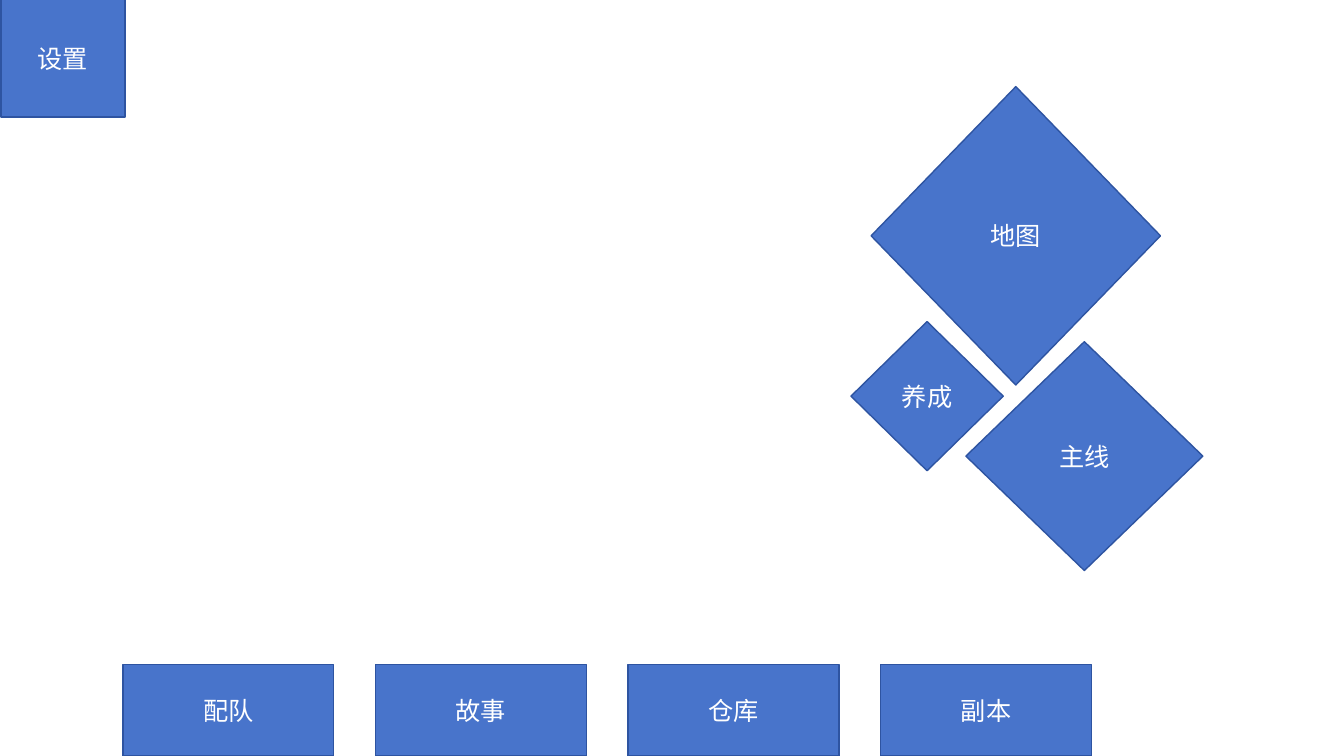
from pptx import Presentation
from pptx.dml.color import RGBColor
from pptx.enum.shapes import MSO_SHAPE as Shape
from pptx.enum.text import MSO_ANCHOR as Anchor, PP_ALIGN as Align
from pptx.util import Inches, Pt

BLUE = RGBColor(0x48, 0x74, 0xCB)
DARK_BLUE = RGBColor(0x2E, 0x54, 0xA1)
WHITE = RGBColor(0xFF, 0xFF, 0xFF)

SLIDE_WIDTH, SLIDE_HEIGHT = 13.33, 7.5
MENU_LEFT, MENU_STEP = 1.22, 2.505
MENU_WIDTH, MENU_HEIGHT = 2.09, 0.91
MENU_LABELS = ("配队", "故事", "仓库", "副本")
DIAMONDS = (
    ("主线", 9.58, 3.39, 2.35, 2.27),
    ("养成", 8.44, 3.19, 1.51, 1.48),
    ("地图", 8.64, 0.86, 2.87, 2.96),
)


def add_button(slide, outline, label, left, top, width, height):
    """Add a blue button with a centred white label; lengths in inches."""
    button = slide.shapes.add_shape(
        outline, Inches(left), Inches(top), Inches(width), Inches(height))
    button.shadow.inherit = False
    button.fill.solid()
    button.fill.fore_color.rgb = BLUE
    button.line.color.rgb = DARK_BLUE
    button.line.width = Pt(1)
    frame = button.text_frame
    frame.text = label
    frame.vertical_anchor = Anchor.MIDDLE
    caption = frame.paragraphs[0]
    caption.alignment = Align.CENTER
    font = caption.runs[0].font
    font.name = "Arial"
    font.size = Pt(18)
    font.color.rgb = WHITE


def add_menu(slide):
    """Add the evenly spaced row of buttons along the bottom edge."""
    for column, label in enumerate(MENU_LABELS):
        add_button(slide, Shape.RECTANGLE, label,
                   MENU_LEFT + column * MENU_STEP, SLIDE_HEIGHT - MENU_HEIGHT,
                   MENU_WIDTH, MENU_HEIGHT)


def main():
    """Build the game menu slide and save it."""
    deck = Presentation()
    deck.slide_width = Inches(SLIDE_WIDTH)
    deck.slide_height = Inches(SLIDE_HEIGHT)
    slide = deck.slides.add_slide(deck.slide_layouts[6])
    for label, *place in DIAMONDS:
        add_button(slide, Shape.DIAMOND, label, *place)
    add_menu(slide)
    add_button(slide, Shape.RECTANGLE, "设置", 0.01, -0.01, 1.23, 1.17)
    deck.save("out.pptx")


if __name__ == "__main__":
    main()
